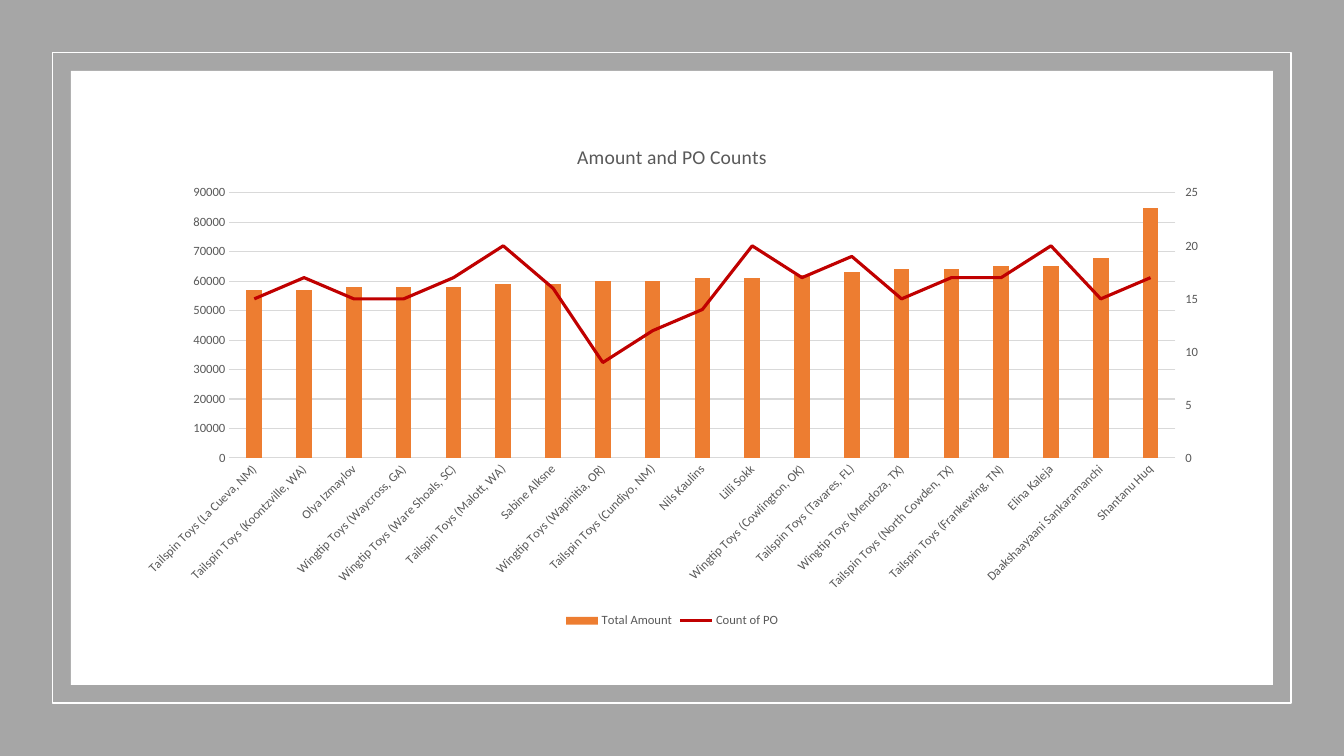
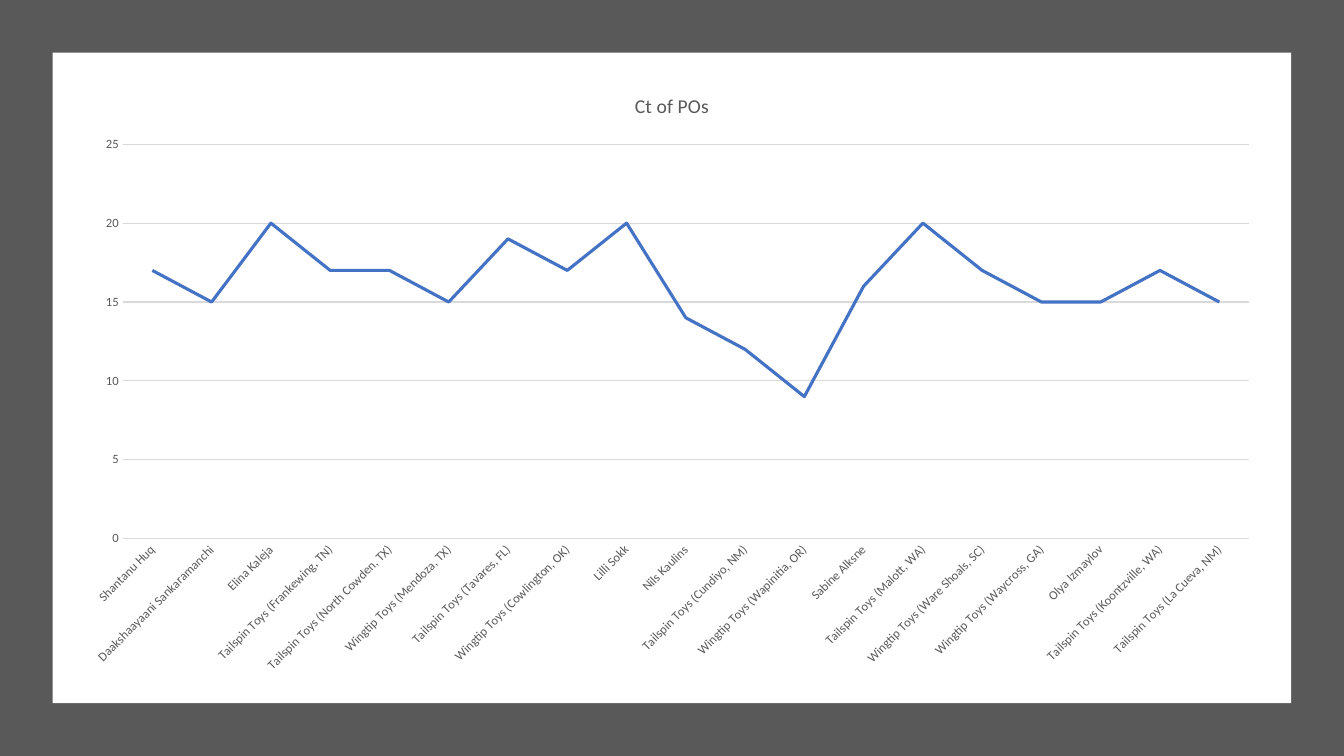
from pptx import Presentation
from pptx.chart.axis import ValueAxis
from pptx.chart.data import CategoryChartData
from pptx.dml.color import RGBColor
from pptx.enum.chart import XL_CHART_TYPE as ChartType, XL_LEGEND_POSITION as LegendPosition
from pptx.enum.chart import XL_MARKER_STYLE as Marker, XL_TICK_MARK as Tick
from pptx.enum.shapes import MSO_SHAPE as Shape
from pptx.oxml import parse_xml
from pptx.oxml.ns import nsdecls, qn
from pptx.util import Cm, Pt

WHITE = RGBColor(0xFF, 0xFF, 0xFF)
LIGHT_GRAY = RGBColor(0xA6, 0xA6, 0xA6)
DARK_GRAY = RGBColor(0x59, 0x59, 0x59)
GRID_GRAY = RGBColor(0xD9, 0xD9, 0xD9)
ORANGE = RGBColor(0xED, 0x7D, 0x31)
RED = RGBColor(0xC0, 0x00, 0x00)
BLUE = RGBColor(0x44, 0x72, 0xC4)

WIDTH, HEIGHT = 33.87, 19.05
OUTER, INNER, CENTER = 1.33, 1.79, 3.12
LABEL_FONT = {"name": "Calibri", "size": Pt(9), "bold": False}
TITLE_FONT = {"name": "Calibri", "size": Pt(14), "bold": False}
LABEL_ROTATION = "-2700000"  # 45 degrees upwards

orders = [
    ("Tailspin Toys (La Cueva, NM)", 57000, 15),
    ("Tailspin Toys (Koontzville, WA)", 57000, 17),
    ("Olya Izmaylov", 58000, 15),
    ("Wingtip Toys (Waycross, GA)", 58000, 15),
    ("Wingtip Toys (Ware Shoals, SC)", 58000, 17),
    ("Tailspin Toys (Malott, WA)", 59000, 20),
    ("Sabine Alksne", 59000, 16),
    ("Wingtip Toys (Wapinitia, OR)", 60000, 9),
    ("Tailspin Toys (Cundiyo, NM)", 60000, 12),
    ("Nils Kaulins", 61000, 14),
    ("Lilli Sokk", 61000, 20),
    ("Wingtip Toys (Cowlington, OK)", 62000, 17),
    ("Tailspin Toys (Tavares, FL)", 63000, 19),
    ("Wingtip Toys (Mendoza, TX)", 64000, 15),
    ("Tailspin Toys (North Cowden, TX)", 64000, 17),
    ("Tailspin Toys (Frankewing, TN)", 65000, 17),
    ("Elina Kaleja", 65000, 20),
    ("Daakshaayaani Sankaramanchi", 68000, 15),
    ("Shantanu Huq", 85000, 17),
]
customers, amounts, counts = zip(*orders)

deck = Presentation()
deck.slide_width, deck.slide_height = Cm(WIDTH), Cm(HEIGHT)


def inset(margin):
    """Return left, top, width and height of a box set in evenly from the slide edge."""
    return Cm(margin), Cm(margin), Cm(WIDTH - 2 * margin), Cm(HEIGHT - 2 * margin)


def style_text(font, values):
    """Apply the font values and the shared dark gray text colour."""
    for name, value in values.items():
        setattr(font, name, value)
    font.color.rgb = DARK_GRAY


# Frames and charts: margin, fill and outline of each frame, from back to front
slides = [
    {
        "title": "Amount and PO Counts",
        "frames": [(0, LIGHT_GRAY, None), (OUTER, None, WHITE), (INNER, WHITE, None)],
        "margin": CENTER,
        "type": ChartType.COLUMN_CLUSTERED,
        "customers": customers,
        "series": [("Total Amount", amounts), ("Count of PO", counts)],
        "scale": {"minimum_scale": 0, "maximum_scale": 90000, "major_unit": 10000},
    },
    {
        "title": "Ct of POs",
        "frames": [(0, DARK_GRAY, None), (OUTER, WHITE, None)],
        "margin": INNER,
        "type": ChartType.LINE,
        "customers": customers[::-1],
        "series": [("Ct of POs", counts[::-1])],
        "scale": {"minimum_scale": 0, "maximum_scale": 25, "major_unit": 5},
    },
]
count_scale = slides[1]["scale"]

charts = []
for content in slides:
    page = deck.slides.add_slide(deck.slide_layouts[6])
    for margin, fill, outline in content["frames"]:
        frame = page.shapes.add_shape(Shape.RECTANGLE, *inset(margin))
        frame.shadow.inherit = False
        if fill is None:
            frame.fill.background()
        else:
            frame.fill.solid()
            frame.fill.fore_color.rgb = fill
        if outline is None:
            frame.line.fill.background()
        else:
            frame.line.color.rgb = outline
            frame.line.width = Pt(1)

    data = CategoryChartData()
    data.categories = content["customers"]
    for name, values in content["series"]:
        data.add_series(name, values)
    chart = page.shapes.add_chart(content["type"], *inset(content["margin"]), data).chart
    charts.append(chart)
    chart.font.name, chart.font.size = "Calibri", Pt(10)
    chart.has_legend = False
    chart.has_title = True
    chart.chart_title.include_in_layout = False
    para = chart.chart_title.text_frame.paragraphs[0]
    span = para.add_run()
    span.text = content["title"]
    style_text(span.font, TITLE_FONT)
    chart.plots[0].vary_by_categories = False

    for axis in (chart.category_axis, chart.value_axis):
        axis.major_tick_mark = axis.minor_tick_mark = Tick.NONE
        style_text(axis.tick_labels.font, LABEL_FONT)
    for name, value in content["scale"].items():
        setattr(chart.value_axis, name, value)
    chart.value_axis.format.line.fill.background()
    chart.value_axis.has_major_gridlines = True
    for line in (chart.category_axis.format.line, chart.value_axis.major_gridlines.format.line):
        line.color.rgb = GRID_GRAY
        line.width = Pt(0.75)
    chart.category_axis._element.find(qn("c:txPr")).find(qn("a:bodyPr")).set("rot", LABEL_ROTATION)

# Amounts as columns, with the PO counts moved to a line on a right-hand axis
combined, count_chart = charts
columns = combined.plots[0]
columns.gap_width = 219
amount_fill = columns.series[0].format.fill
amount_fill.solid()
amount_fill.fore_color.rgb = ORANGE

count_series = columns.series[1]._element
for column_setting in count_series.findall(qn("c:invertIfNegative")):
    count_series.remove(column_setting)
line_plot = parse_xml(
    f'<c:lineChart {nsdecls("c")}><c:grouping val="standard"/><c:varyColors val="0"/>'
    '<c:marker val="1"/><c:axId val="5001"/><c:axId val="5002"/></c:lineChart>'
)
line_plot.insert(2, count_series)
columns._element.addnext(line_plot)
right_axis = parse_xml(
    f'<c:valAx {nsdecls("c")}><c:axId val="5002"/>'
    '<c:scaling><c:orientation val="minMax"/></c:scaling><c:delete val="0"/>'
    '<c:axPos val="r"/><c:numFmt formatCode="General" sourceLinked="0"/>'
    '<c:majorTickMark val="out"/><c:minorTickMark val="none"/><c:tickLblPos val="nextTo"/>'
    '<c:crossAx val="5001"/><c:crosses val="max"/></c:valAx>'
)
hidden_axis = parse_xml(
    f'<c:catAx {nsdecls("c")}><c:axId val="5001"/>'
    '<c:scaling><c:orientation val="minMax"/></c:scaling><c:delete val="1"/>'
    '<c:axPos val="b"/><c:majorTickMark val="none"/><c:minorTickMark val="none"/>'
    '<c:tickLblPos val="nextTo"/><c:crossAx val="5002"/><c:crosses val="autoZero"/></c:catAx>'
)
combined.value_axis._element.addnext(right_axis)
right_axis.addnext(hidden_axis)
count_axis = ValueAxis(right_axis)
for name, value in count_scale.items():
    setattr(count_axis, name, value)
count_axis.format.line.fill.background()
style_text(count_axis.tick_labels.font, LABEL_FONT)

combined.has_legend = True
combined.legend.position = LegendPosition.BOTTOM
combined.legend.include_in_layout = False
style_text(combined.legend.font, LABEL_FONT)

for plot, color in ((combined.plots[1], RED), (count_chart.plots[0], BLUE)):
    series = plot.series[0]
    series.smooth = False
    series.marker.style = Marker.NONE
    series.format.line.color.rgb = color
    series.format.line.width = Pt(2.25)

deck.save("out.pptx")
